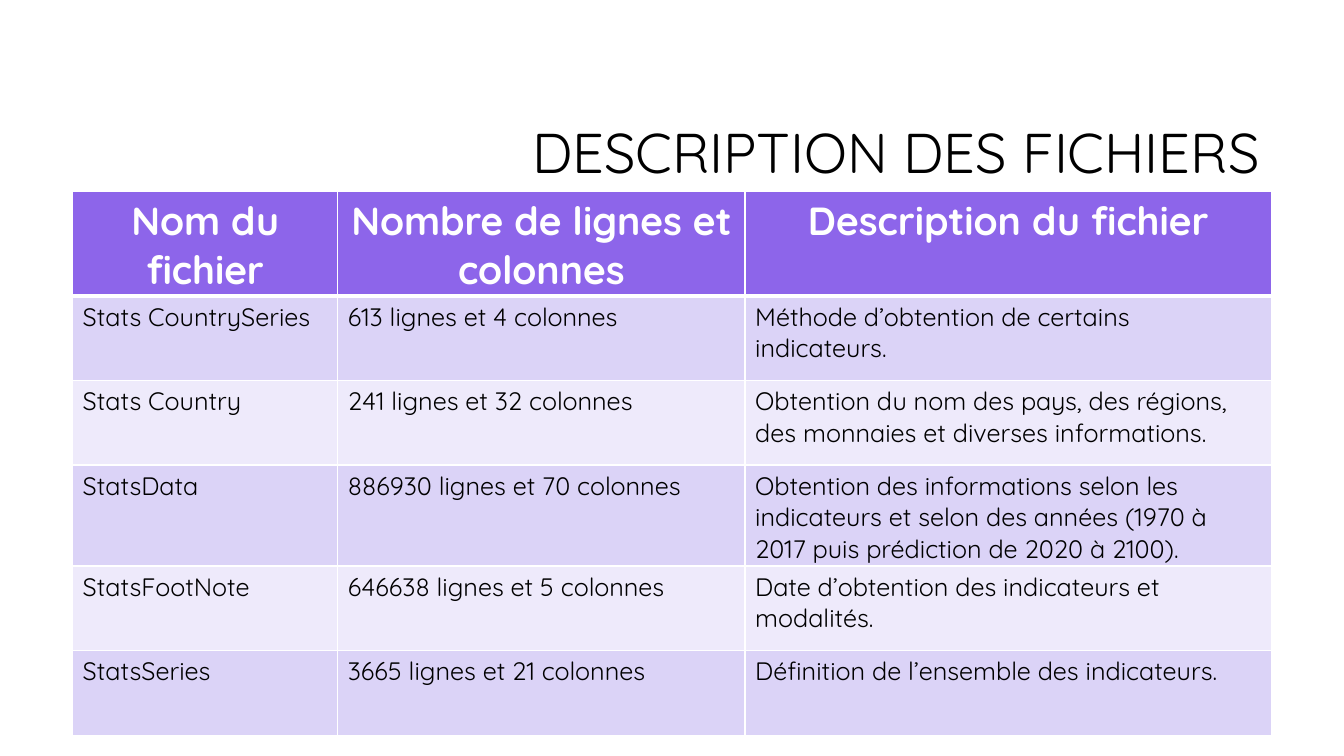
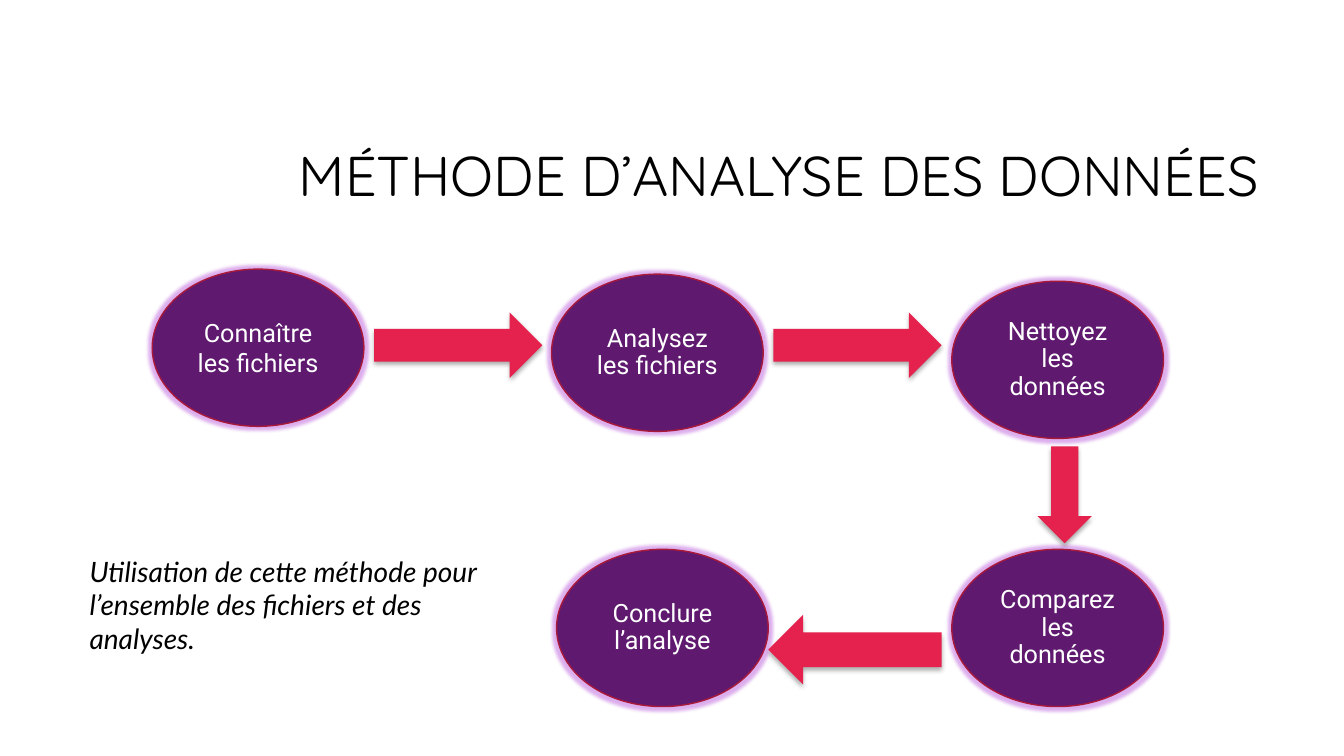
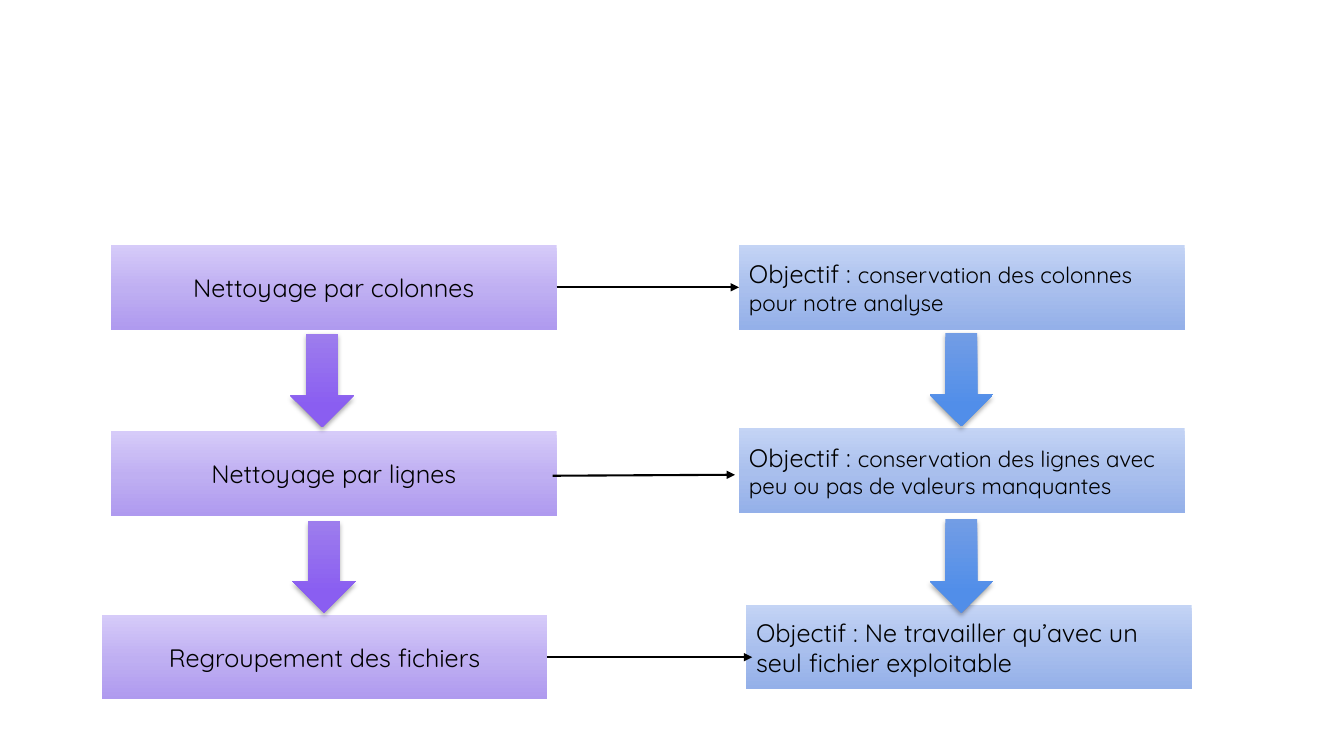
"""Build three slides on the source files, the analysis method and the cleaning steps."""
import copy

import pptx
import pptx.dml.color
import pptx.enum.shapes
import pptx.enum.text
import pptx.oxml
import pptx.oxml.ns
import pptx.util

Inches = pptx.util.Inches
Pt = pptx.util.Pt
RGBColor = pptx.dml.color.RGBColor
Shape = pptx.enum.shapes.MSO_SHAPE
Align = pptx.enum.text.PP_ALIGN
Anchor = pptx.enum.text.MSO_ANCHOR
qn = pptx.oxml.ns.qn
NS = pptx.oxml.ns.nsdecls("a")

BLACK = RGBColor(0x00, 0x00, 0x00)
WHITE = RGBColor(0xFF, 0xFF, 0xFF)
HEADER = RGBColor(0x8D, 0x65, 0xEA)
ROW_DARK = RGBColor(0xDB, 0xD3, 0xF7)
ROW_LIGHT = RGBColor(0xEE, 0xEA, 0xFB)
PLUM = RGBColor(0x5F, 0x19, 0x6F)
CRIMSON = RGBColor(0xA9, 0x19, 0x3A)
RED = RGBColor(0xE5, 0x22, 0x4E)
LILAC_BOX = [(0, RGBColor(0xD6, 0xCB, 0xF9)), (0.52, RGBColor(0xBF, 0xAF, 0xF2)),
             (1, RGBColor(0xAF, 0x9A, 0xEF))]
BLUE_BOX = [(0, RGBColor(0xC4, 0xD4, 0xF5)), (0.52, RGBColor(0xA9, 0xBF, 0xED)),
            (1, RGBColor(0x94, 0xB0, 0xE9))]
LILAC_ARROW = [(0, RGBColor(0x9D, 0x7D, 0xED)), (0.78, RGBColor(0x8A, 0x5E, 0xF1))]
BLUE_ARROW = [(0, RGBColor(0x72, 0x9D, 0xE5)), (0.78, RGBColor(0x51, 0x8E, 0xE9))]

TITLE_FONT = "Quicksand"
SHADOW = (f'<a:outerShdw {NS} blurRad="44450" dist="27940" dir="5400000" rotWithShape="0">'
          '<a:srgbClr val="000000"><a:alpha val="32000"/></a:srgbClr></a:outerShdw>')
GLOW = (f'<a:glow {NS} rad="63500"><a:srgbClr val="B44CD8">'
        '<a:alpha val="45000"/></a:srgbClr></a:glow>')


def write(frame, parts, font, color, align=Align.LEFT, anchor=Anchor.MIDDLE):
    """Fill a frame with one paragraph of (text, size) parts and return the paragraph."""
    frame.word_wrap = True
    frame.vertical_anchor = anchor
    paragraph = frame.paragraphs[0]
    paragraph.alignment = align
    for text, size in parts:
        run = paragraph.add_run()
        run.text = text
        run.font.name = font
        run.font.size = Pt(size)
        run.font.color.rgb = color
    return paragraph


def add_block(slide, kind, box, fill, effect=None):
    """Add a borderless shape with a plain or top-to-bottom gradient fill."""
    block = slide.shapes.add_shape(kind, *map(Inches, box))
    block.shadow.inherit = False
    block.line.fill.background()
    if isinstance(fill, list):
        block.fill.gradient()
        block.fill.gradient_angle = 270
        stops = block._element.spPr.find(".//" + qn("a:gsLst"))
        while len(stops) < len(fill):
            stops.append(copy.deepcopy(stops[0]))
        for stop, (position, color) in zip(block.fill.gradient_stops, fill):
            stop.position = position
            stop.color.rgb = color
    else:
        block.fill.solid()
        block.fill.fore_color.rgb = fill
    if effect:
        block._element.spPr.find(qn("a:effectLst")).append(pptx.oxml.parse_xml(effect))
    return block


deck = pptx.Presentation()
deck.slide_width = Inches(13.33)
deck.slide_height = Inches(7.5)
files_slide, method_slide, cleaning_slide = [
    deck.slides.add_slide(deck.slide_layouts[6]) for _ in range(3)]

for slide, title, box in [
    (files_slide, "DESCRIPTION DES FICHIERS", (3.17, 0.84, 9.42, 1.41)),
    (method_slide, "MÉTHODE D’ANALYSE DES DONNÉES", (2.07, 1.29, 10.51, 0.96)),
]:
    heading = slide.shapes.add_textbox(*map(Inches, box))
    write(heading.text_frame, [(title, 40)], TITLE_FONT, BLACK, Align.RIGHT).line_spacing = 0.9

file_rows = [
    ("Nom du fichier", "Nombre de lignes et colonnes", "Description du fichier"),
    ("Stats CountrySeries", "613 lignes et 4 colonnes",
     "Méthode d’obtention de certains indicateurs."),
    ("Stats Country", "241 lignes et 32 colonnes",
     "Obtention du nom des pays, des régions, des monnaies et diverses informations."),
    ("StatsData", "886930 lignes et 70 colonnes",
     "Obtention des informations selon les indicateurs et selon des années "
     "(1970 à 2017 puis prédiction de 2020 à 2100)."),
    ("StatsFootNote", "646638 lignes et 5 colonnes",
     "Date d’obtention des indicateurs et modalités."),
    ("StatsSeries", "3665 lignes et 21 colonnes",
     "Définition de l’ensemble des indicateurs."),
]
files = files_slide.shapes.add_table(
    len(file_rows), 3, Inches(0.72), Inches(1.9), Inches(11.89), Inches(5.04)).table
for column, width in zip(files.columns, (2.63, 4.04, 5.22)):
    column.width = Inches(width)
for r, values in enumerate(file_rows):
    files.rows[r].height = Inches(0.84)
    for c, value in enumerate(values):
        cell = files.cell(r, c)
        edges = {"lnL": 1, "lnR": 1, "lnT": 3 if r == 1 else 1, "lnB": 3 if r == 0 else 1}
        for edge, width in edges.items():
            cell._tc.get_or_add_tcPr().append(pptx.oxml.parse_xml(
                f'<a:{edge} {NS} w="{Pt(width)}"><a:solidFill><a:srgbClr val="{WHITE}"/>'
                f'</a:solidFill></a:{edge}>'))
        cell.fill.solid()
        cell.fill.fore_color.rgb = HEADER if r == 0 else ROW_DARK if r % 2 else ROW_LIGHT
        cell.text_frame.text = value
        entry = cell.text_frame.paragraphs[0]
        entry.alignment = Align.LEFT if r else Align.CENTER
        font = entry.runs[0].font
        font.name = TITLE_FONT
        font.size = Pt(18 if r else 28)
        font.bold = r == 0
        font.color.rgb = BLACK if r else WHITE

for index, (step, left, top) in enumerate([
    ("Connaître les fichiers", 1.51, 2.67),
    ("Analysez les fichiers", 5.47, 2.72),
    ("Nettoyez les données", 9.44, 2.79),
    ("Comparez les données", 9.44, 5.45),
    ("Conclure l’analyse", 5.52, 5.45),
]):
    oval = add_block(method_slide, Shape.OVAL, (left, top, 2.1, 1.56), PLUM, GLOW)
    oval.line.color.rgb = CRIMSON
    oval.line.width = Pt(1)
    label = write(oval.text_frame, [(step, 18)], "Roboto", WHITE, Align.CENTER)
    if index:
        label.line_spacing = 0.9
        label.space_before = Pt(10)

for kind, box in [
    (Shape.RIGHT_ARROW, (3.71, 3.1, 1.67, 0.65)),
    (Shape.RIGHT_ARROW, (7.67, 3.1, 1.67, 0.65)),
    (Shape.DOWN_ARROW, (10.29, 4.43, 0.54, 0.96)),
    (Shape.LEFT_ARROW, (7.62, 6.1, 1.72, 0.69)),
]:
    add_block(method_slide, kind, box, RED, SHADOW)

remark = method_slide.shapes.add_textbox(Inches(0.79), Inches(5.45), Inches(4.57), Inches(1.11))
sentence = write(
    remark.text_frame,
    [("Utilisation de cette méthode pour l’ensemble des fichiers et des analyses.", 20)],
    "Lato", BLACK, anchor=Anchor.TOP)
sentence.runs[0].font.italic = True

actions = []
for action, left, top in [
    ("Nettoyage par colonnes", 1.1, 2.43),
    ("Nettoyage par lignes", 1.1, 4.28),
    ("Regroupement des fichiers", 1.01, 6.1),
]:
    actions.append(add_block(cleaning_slide, Shape.RECTANGLE, (left, top, 4.42, 0.84), LILAC_BOX))
    write(actions[-1].text_frame, [(action, 18)], TITLE_FONT, BLACK, Align.CENTER)

goals = []
for goal, size, left, top in [
    ("conservation des colonnes pour notre analyse", 16, 7.33, 2.43),
    ("conservation des lignes avec peu ou pas de valeurs manquantes", 16, 7.33, 4.25),
    ("Ne travailler qu’avec un seul fichier exploitable", 18, 7.4, 6),
]:
    goals.append(add_block(cleaning_slide, Shape.RECTANGLE, (left, top, 4.42, 0.84), BLUE_BOX))
    write(goals[-1].text_frame, [("Objectif : ", 18), (goal, size)], TITLE_FONT, BLACK)

for left, top, height, fill in [
    (2.88, 3.31, 0.93, LILAC_ARROW),
    (2.9, 5.17, 0.91, LILAC_ARROW),
    (9.22, 3.3, 0.93, BLUE_ARROW),
    (9.22, 5.15, 0.93, BLUE_ARROW),
]:
    add_block(cleaning_slide, Shape.DOWN_ARROW, (left, top, 0.63, height), fill, SHADOW)

for ends, source, target in [
    ((5.52, 2.85, 7.33, 2.85), actions[0], goals[0]),
    ((5.48, 4.72, 7.29, 4.71), None, None),
    ((5.43, 6.52, 7.46, 6.52), actions[2], None),
]:
    link = cleaning_slide.shapes.add_connector(
        pptx.enum.shapes.MSO_CONNECTOR.STRAIGHT, *map(Inches, ends))
    if source:
        link.begin_connect(source, 3)
    if target:
        link.end_connect(target, 1)
    link.line.color.rgb = BLACK
    link.line.width = Pt(1.5)
    link.line._get_or_add_ln().append(pptx.oxml.parse_xml(f'<a:tailEnd {NS} type="triangle"/>'))
    link._element.spPr.append(pptx.oxml.parse_xml(f"<a:effectLst {NS}/>"))

deck.save("out.pptx")
